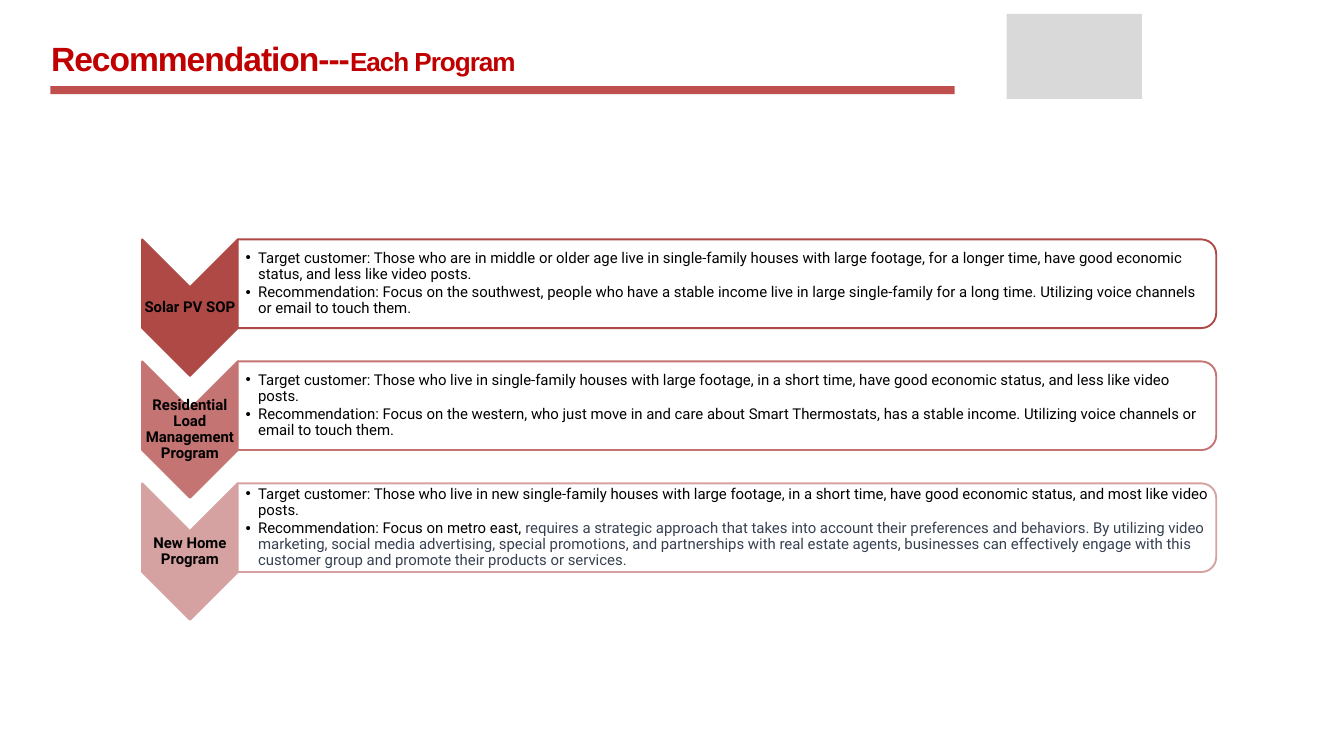
import pptx
import pptx.dml.color
import pptx.enum.shapes
import pptx.enum.text
import pptx.oxml.ns
import pptx.util
from lxml import etree

Pt = pptx.util.Pt
SHAPE = pptx.enum.shapes.MSO_SHAPE
ALIGN = pptx.enum.text.PP_ALIGN
ANCHOR = pptx.enum.text.MSO_ANCHOR
qn = pptx.oxml.ns.qn

HUES = {
    "title": "C00000", "rule": "BF4F4D", "mark": "D9D9D9",
    "text": "000000", "note": "374151", "panel": "FFFFFF",
    "solar": "AE4946", "load": "C47472", "home": "D6A2A1",
}

ROWS = [
    ("solar", "Solar PV SOP", [
        [("Target customer: Those who are in middle or older age live in single-family houses with large footage, "
          "for a longer time, have good economic status, and less like video posts.", "text")],
        [("Recommendation: Focus on the southwest, people who have a stable income live in large single-family "
          "for a long time. Utilizing voice channels or email to touch them.", "text")],
    ]),
    ("load", "Residential Load Management Program", [
        [("Target customer: Those who live in single-family houses with large footage, in a short time, "
          "have good economic status, and less like video posts.", "text")],
        [("Recommendation: Focus on the western, who just move in and care about Smart Thermostats, "
          "has a stable income. Utilizing voice channels or email to touch them.", "text")],
    ]),
    ("home", "New Home Program", [
        [("Target customer: Those who live in new single-family houses with large footage, in a short time, "
          "have good economic status, and most like video posts.", "text")],
        [("Recommendation: Focus on metro east, ", "text"),
         ("requires a strategic approach that takes into account their preferences and behaviors. By utilizing "
          "video marketing, social media advertising, special promotions, and partnerships with real estate agents, "
          "businesses can effectively engage with this customer group and promote their products or services.",
          "note")],
    ]),
]


def tint(name):
    """Return the named colour."""
    return pptx.dml.color.RGBColor.from_string(HUES[name])


def style(item, **looks):
    """Set each given attribute on an item."""
    for key, value in looks.items():
        setattr(item, key, value)


def write(para, text, hue, **looks):
    """Add a coloured run to a paragraph."""
    run = para.add_run()
    run.text = text
    style(run.font, **looks)
    run.font.color.rgb = tint(hue)
    return run


def block(slide, kind, box, fill, line=None, turn=0):
    """Draw a filled shape whose visible bounds are the box."""
    left, top, wide, high = box
    if turn:
        left, top = left + (wide - high) / 2, top + (high - wide) / 2
        wide, high = high, wide
    shape = slide.shapes.add_shape(kind, Pt(left), Pt(top), Pt(wide), Pt(high))
    shape.shadow.inherit = False
    shape.rotation = turn
    shape.fill.solid()
    shape.fill.fore_color.rgb = tint(fill)
    if line:
        shape.line.color.rgb = tint(line)
        shape.line.width = Pt(2)
    else:
        shape.line.fill.background()
    return shape


def label(slide, box, inset):
    """Add a wrapping, middle-anchored text box and return its frame."""
    frame = slide.shapes.add_textbox(*map(Pt, box)).text_frame
    style(frame, word_wrap=True, vertical_anchor=ANCHOR.MIDDLE, margin_left=Pt(inset),
          margin_right=Pt(0.7), margin_top=Pt(0.7), margin_bottom=Pt(0.7))
    return frame


def bullet(para):
    """Give a paragraph a hanging bullet."""
    props = para._p.get_or_add_pPr()
    props.set("marL", str(Pt(13.5)))
    props.set("indent", str(-Pt(13.5)))
    font = etree.SubElement(props, qn("a:buFont"))
    font.set("typeface", "Arial")
    mark = etree.SubElement(props, qn("a:buChar"))
    mark.set("char", "•")


def head(slide, box):
    """Place the title, the rule below it and the mark at the right."""
    left, top, wide, high = box
    title = slide.shapes.title
    style(title, left=Pt(left), top=Pt(top), width=Pt(wide), height=Pt(high))
    frame = title.text_frame
    style(frame, word_wrap=True, vertical_anchor=ANCHOR.TOP, margin_left=Pt(0.7),
          margin_right=0, margin_top=Pt(1.7), margin_bottom=0)
    para = frame.paragraphs[0]
    para.alignment = ALIGN.LEFT
    for text, size in (("Recommendation---", 36), ("Each Program", 28)):
        run = write(para, text, "title", name="Arial", size=Pt(size), bold=True)
        run._r.get_or_add_rPr().set("spc", "-110")
    block(slide, SHAPE.RECTANGLE, (left, top + 53.3, 969, 8.6), "rule")
    block(slide, SHAPE.RECTANGLE, (left + 1024.5, top - 24, 145, 91), "mark")


def row(slide, box, hue, name, notes):
    """Place a chevron with its name and a panel of bullets."""
    left, top, wide, high = box
    step = 102.4
    block(slide, SHAPE.CHEVRON, (left, top, step, high), hue, hue, 90)
    para = label(slide, (left, top + 51, step, 44), 0.7).paragraphs[0]
    style(para, alignment=ALIGN.CENTER, line_spacing=0.9)
    write(para, name, "text", name="Roboto", size=Pt(16), bold=True)

    panel = block(slide, SHAPE.ROUND_2_SAME_RECTANGLE,
                  (left + step, top, wide - step, 95), "panel", hue, 90)
    color = panel.fill._xPr.find(".//" + qn("a:srgbClr"))
    etree.SubElement(color, qn("a:alpha")).set("val", "90000")
    frame = label(slide, (left + step - 0.5, top + 4.7, wide - step - 4.5, 85.7), 8.9)
    for spot, runs in enumerate(notes):
        para = frame.add_paragraph() if spot else frame.paragraphs[0]
        bullet(para)
        style(para, line_spacing=0.9, space_after=Pt(2.4))
        for text, shade in runs:
            write(para, text, shade, name="Roboto", size=Pt(16))


def main():
    """Build and save the slide."""
    deck = pptx.Presentation()
    style(deck, slide_width=Pt(1440), slide_height=Pt(810))
    slide = deck.slides.add_slide(deck.slide_layouts[5])
    head(slide, (54, 38.9, 674, 45.4))
    for spot, (hue, name, notes) in enumerate(ROWS):
        row(slide, (152.3, 256.5 + spot * 130.7, 1150.8, 146.2), hue, name, notes)
    deck.save("out.pptx")


if __name__ == "__main__":
    main()
